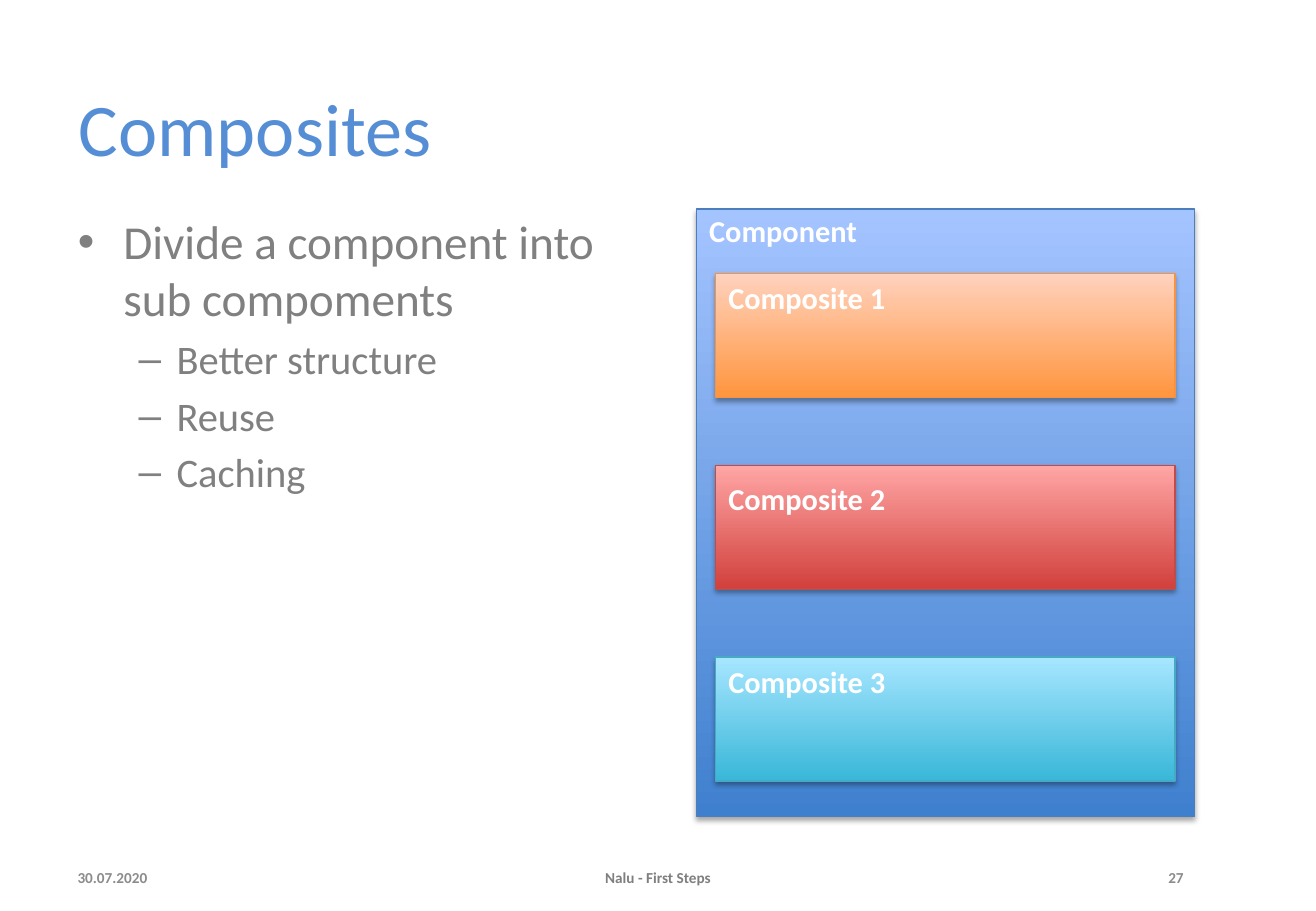
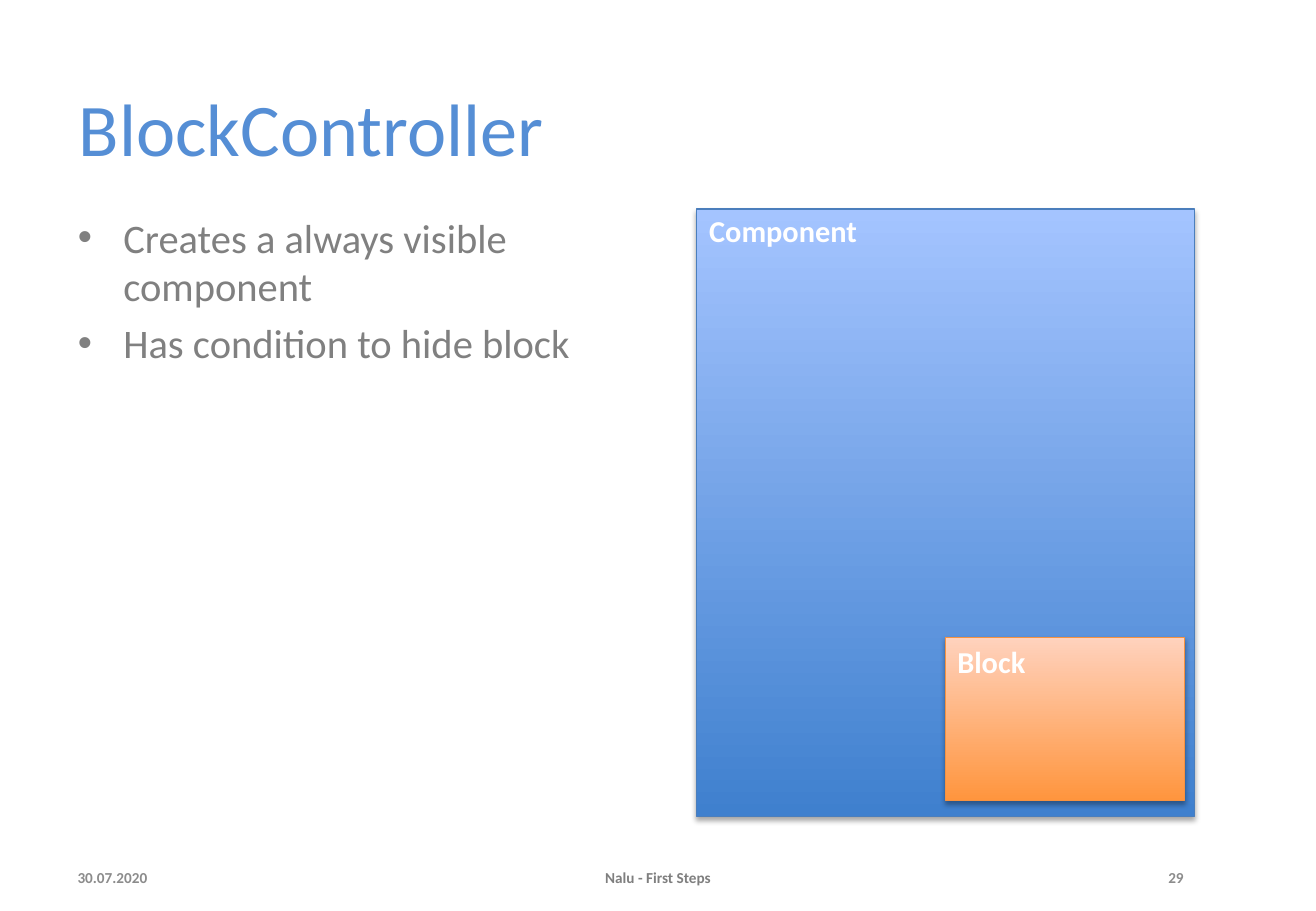
from dataclasses import dataclass

from lxml import etree
from pptx import Presentation
from pptx.dml.color import RGBColor
from pptx.enum.shapes import MSO_SHAPE
from pptx.enum.text import MSO_ANCHOR, MSO_AUTO_SIZE, PP_ALIGN
from pptx.oxml.ns import qn
from pptx.presentation import Presentation as Deck
from pptx.shapes.autoshape import Shape
from pptx.slide import Slide
from pptx.text.text import _Paragraph
from pptx.util import Inches, Pt

RECTANGLE = MSO_SHAPE.RECTANGLE
BOTTOM = MSO_ANCHOR.BOTTOM
FIXED_SIZE = MSO_AUTO_SIZE.NONE
FIT_TEXT = MSO_AUTO_SIZE.SHAPE_TO_FIT_TEXT
LEFT, CENTER, RIGHT = PP_ALIGN.LEFT, PP_ALIGN.CENTER, PP_ALIGN.RIGHT


@dataclass(frozen=True)
class Palette:
    dark: str
    light: str
    outline: str


@dataclass(frozen=True)
class Theme:
    font: str = "Calibri"
    title_color: str = "558ED5"
    body_color: str = "808080"
    label_color: str = "FFFFFF"
    footer_color: str = "7F7F7F"
    footer_side_color: str = "8C8C8C"
    shadow_color: str = "000000"
    title_size: int = 44
    lead_size: int = 28
    list_size: int = 24
    label_size: int = 18
    footer_size: int = 9
    blue: Palette = Palette("3F80CE", "A4C4FF", "4B7EBC")
    orange: Palette = Palette("FF953E", "FFD2BD", "F69240")
    red: Palette = Palette("D1403C", "FFA6A5", "BF4C48")
    cyan: Palette = Palette("39B7D8", "A7E6FF", "46AAC5")


THEME = Theme()


@dataclass(frozen=True)
class Box:
    left: float
    top: float
    width: float
    height: float

    def place(self, shape: Shape) -> None:
        shape.left, shape.top = Inches(self.left), Inches(self.top)
        shape.width, shape.height = Inches(self.width), Inches(self.height)


@dataclass(frozen=True)
class Bullet:
    text: str
    level: int = 0
    size: int = THEME.list_size


@dataclass(frozen=True)
class Panel:
    label: str
    box: Box
    palette: Palette
    label_width: float = 1.5
    label_drop: float = 0.0
    label_wraps: bool = False


@dataclass(frozen=True)
class FooterPart:
    text: str
    left: float
    width: float
    align: PP_ALIGN
    color: str


@dataclass(frozen=True)
class Topic:
    title: str
    bullets: list[Bullet]
    panels: list[Panel]
    number: int


TITLE_BOX = Box(0.55, 0.44, 9.28, 1.02)
BODY_BOX = Box(0.54, 1.7, 4.56, 5)
FOOTER_TOP = 6.95
ROW_HEIGHT = 0.4
COMPOSITE_PITCH = 1.58

COMPONENT = Panel("Component", Box(5.73, 1.72, 4.1, 5), THEME.blue, 1.43, -0.02)
COMPOSITES = [
    Panel(f"Composite {index + 1}",
          Box(5.89, 2.25 + COMPOSITE_PITCH * index, 3.78, 1.02),
          palette, label_drop=drop)
    for index, (palette, drop) in enumerate(
        [(THEME.orange, 0), (THEME.red, 0.07), (THEME.cyan, 0)])
]
BLOCK = Panel("Block", Box(7.78, 5.25, 1.97, 1.34), THEME.orange, label_wraps=True)

TOPICS = [
    Topic("Composites",
          [Bullet("Divide a component into sub compoments", size=THEME.lead_size),
           Bullet("Better structure", 1),
           Bullet("Reuse", 1),
           Bullet("Caching", 1)],
          [COMPONENT, *COMPOSITES], 27),
    Topic("BlockController",
          [Bullet("Creates a always visible component"),
           Bullet("Has condition to hide block")],
          [COMPONENT, BLOCK], 29),
]


def style(paragraph: _Paragraph, size: int, color: str,
          bold: bool = False, align: PP_ALIGN = LEFT) -> None:
    paragraph.alignment = align
    paragraph.font.name = THEME.font
    paragraph.font.size = Pt(size)
    paragraph.font.bold = bold
    paragraph.font.color.rgb = RGBColor.from_string(color)


def add_label(slide: Slide, text: str, box: Box, size: int, color: str,
              align: PP_ALIGN) -> Shape:
    label = slide.shapes.add_textbox(Inches(box.left), Inches(box.top),
                                     Inches(box.width), Inches(box.height))
    label.text_frame.word_wrap = True
    label.text_frame.text = text
    style(label.text_frame.paragraphs[0], size, color, True, align)
    return label


def add_shadow(shape: Shape) -> None:
    shape.shadow.inherit = False
    effects = shape._element.spPr.find(qn("a:effectLst"))
    shadow = etree.SubElement(effects, qn("a:outerShdw"), blurRad=str(Pt(3.1)),
                              dist=str(Pt(1.8)), dir="5400000", rotWithShape="0")
    color = etree.SubElement(shadow, qn("a:srgbClr"), val=THEME.shadow_color)
    etree.SubElement(color, qn("a:alpha"), val="35000")


def add_panel(slide: Slide, panel: Panel) -> None:
    box, palette = panel.box, panel.palette
    area = slide.shapes.add_shape(RECTANGLE, 0, 0, 0, 0)
    box.place(area)
    area.fill.gradient()
    area.fill.gradient_angle = 90
    for stop, color in zip(area.fill.gradient_stops, (palette.dark, palette.light)):
        stop.color.rgb = RGBColor.from_string(color)
    area.line.color.rgb = RGBColor.from_string(palette.outline)
    area.line.width = Pt(0.75)
    add_shadow(area)
    label_box = Box(box.left, box.top + panel.label_drop, panel.label_width, ROW_HEIGHT)
    label = add_label(slide, panel.label, label_box, THEME.label_size,
                      THEME.label_color, LEFT if panel.label_wraps else CENTER)
    label.text_frame.word_wrap = panel.label_wraps
    label.text_frame.auto_size = FIT_TEXT


def add_title(slide: Slide, text: str) -> None:
    title = slide.shapes.title
    TITLE_BOX.place(title)
    title.text_frame.text = text
    title.text_frame.vertical_anchor = BOTTOM
    title.text_frame.auto_size = FIXED_SIZE
    style(title.text_frame.paragraphs[0], THEME.title_size, THEME.title_color)


def add_bullets(slide: Slide, bullets: list[Bullet]) -> None:
    body = slide.placeholders[1]
    BODY_BOX.place(body)
    frame = body.text_frame
    frame.text = "\n".join(bullet.text for bullet in bullets)
    frame.auto_size = FIXED_SIZE
    for paragraph, bullet in zip(frame.paragraphs, bullets):
        paragraph.level = bullet.level
        style(paragraph, bullet.size, THEME.body_color)


def add_footer(slide: Slide, number: int) -> None:
    side = THEME.footer_side_color
    for part in (FooterPart("30.07.2020", 0.54, 2.53, LEFT, side),
                 FooterPart("Nalu - First Steps", 3.7, 3.43, CENTER, THEME.footer_color),
                 FooterPart(str(number), 7.31, 2.53, RIGHT, side)):
        box = Box(part.left, FOOTER_TOP, part.width, ROW_HEIGHT)
        label = add_label(slide, part.text, box, THEME.footer_size, part.color, part.align)
        label.text_frame.vertical_anchor = BOTTOM


def add_topic(deck: Deck, topic: Topic) -> None:
    slide = deck.slides.add_slide(deck.slide_layouts[1])
    add_title(slide, topic.title)
    add_bullets(slide, topic.bullets)
    add_footer(slide, topic.number)
    for panel in topic.panels:
        add_panel(slide, panel)


def main() -> None:
    deck = Presentation()
    deck.slide_width, deck.slide_height = Inches(10.83), Inches(7.5)
    for topic in TOPICS:
        add_topic(deck, topic)
    deck.save("out.pptx")


main()
